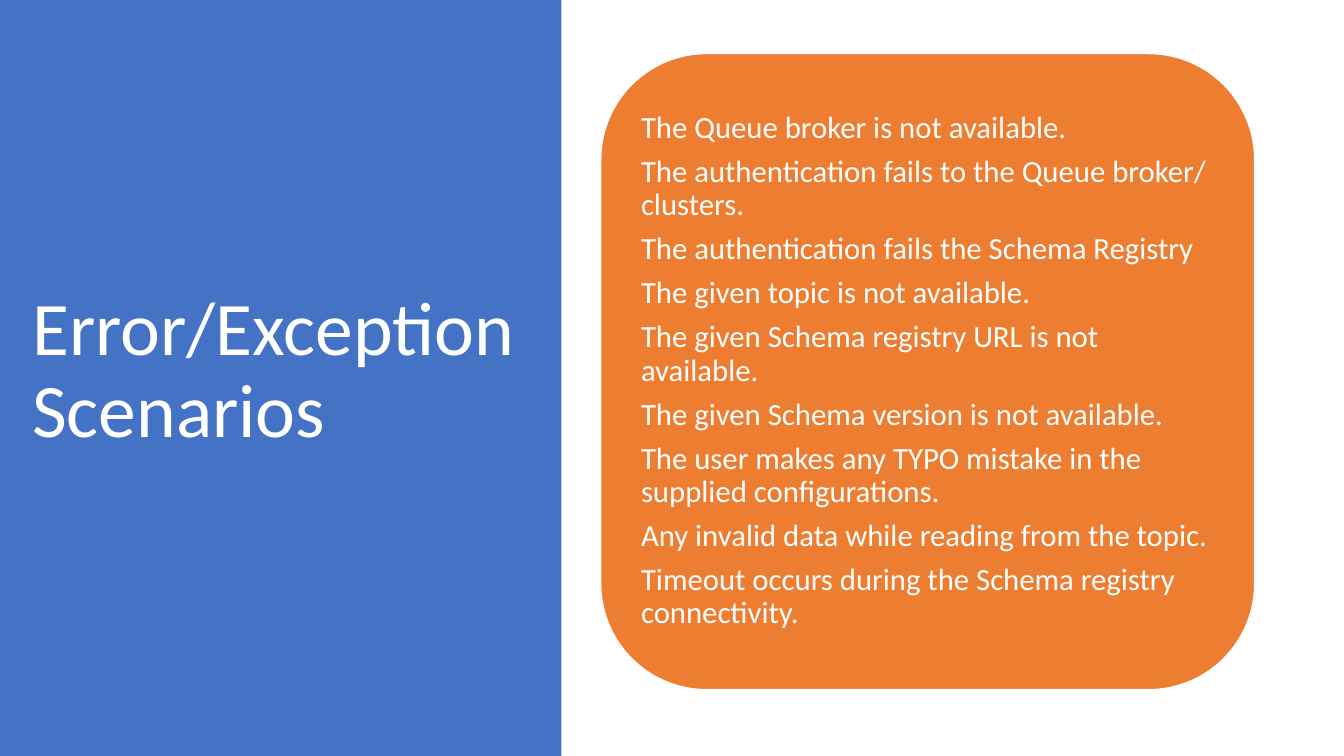
"""Build the slide on error and exception scenarios."""
from dataclasses import dataclass

from lxml import etree
from pptx import Presentation
from pptx.dml.color import RGBColor
from pptx.enum.shapes import MSO_SHAPE
from pptx.enum.text import MSO_ANCHOR, MSO_AUTO_SIZE, PP_ALIGN
from pptx.oxml.ns import qn
from pptx.util import Cm, Pt

RECTANGLE = MSO_SHAPE.RECTANGLE
ROUNDED = MSO_SHAPE.ROUNDED_RECTANGLE
MIDDLE = MSO_ANCHOR.MIDDLE
LEFT = PP_ALIGN.LEFT
NO_AUTOFIT = MSO_AUTO_SIZE.NONE


@dataclass(frozen=True)
class Theme:
    """Colours, typeface and type sizes of the slide."""

    panel: RGBColor = RGBColor(0x44, 0x72, 0xC4)
    card: RGBColor = RGBColor(0xED, 0x7D, 0x31)
    light: RGBColor = RGBColor(0xFF, 0xFF, 0xFF)
    font: str = "Calibri"
    title_size: Pt = Pt(54)
    list_size: Pt = Pt(22)
    list_gap: Pt = Pt(7.7)


THEME = Theme()
TITLE = "Error/Exception Scenarios"
SCENARIOS = [
    "The Queue broker is not available.",
    "The authentication fails to the Queue broker/ clusters.",
    "The authentication fails the Schema Registry",
    "The given topic is not available.",
    "The given Schema registry URL is not available.",
    "The given Schema version is not available.",
    "The user makes any TYPO mistake in the supplied configurations.",
    "Any invalid data while reading from the topic.",
    "Timeout occurs during the Schema registry connectivity.",
]


def add_backdrop(slide, kind, bounds, colour, outline=None):
    """Add a filled shape with an optional outline."""
    box = slide.shapes.add_shape(kind, *map(Cm, bounds))
    box.shadow.inherit = False
    box.fill.solid()
    box.fill.fore_color.rgb = colour
    if outline is None:
        box.line.fill.background()
    else:
        box.line.color.rgb = outline
        box.line.width = Pt(1)
    return box


def send_to_back(slide, boxes):
    """Place the boxes, in their order, behind everything else."""
    tree = slide.shapes.element
    for position, box in enumerate(boxes, start=2):
        tree.insert(position, box.element)


def remove_bullet(para):
    """Clear the bullet and the hanging indent of a paragraph."""
    properties = para._p.get_or_add_pPr()
    properties.set("marL", "0")
    properties.set("indent", "0")
    etree.SubElement(properties, qn("a:buNone"))


def fill_placeholder(box, bounds, lines, size, gap=Pt(0)):
    """Move a placeholder and write its lines as light, left-aligned text."""
    box.left, box.top, box.width, box.height = map(Cm, bounds)
    frame = box.text_frame
    frame.text = "\n".join(lines)
    frame.word_wrap = True
    frame.auto_size = NO_AUTOFIT
    frame.vertical_anchor = MIDDLE
    for para in frame.paragraphs:
        para.alignment = LEFT
        para.line_spacing = 0.9
        para.space_before = Pt(0)
        para.space_after = gap
        remove_bullet(para)
        for span in para.runs:
            span.font.name = THEME.font
            span.font.size = size
            span.font.color.rgb = THEME.light


def main():
    """Build the deck and save it."""
    deck = Presentation()
    deck.slide_width, deck.slide_height = Cm(33.87), Cm(19.05)
    slide = deck.slides.add_slide(deck.slide_layouts[1])
    panel = add_backdrop(slide, RECTANGLE, (0, 0, 14.15, 19.05), THEME.panel)
    card = add_backdrop(
        slide, ROUNDED, (15.14, 1.35, 16.48, 16.03), THEME.card, THEME.light
    )
    send_to_back(slide, [panel, card])
    title, body = slide.placeholders
    fill_placeholder(title, (0.56, 1.73, 13.3, 15.3), [TITLE], THEME.title_size)
    fill_placeholder(
        body, (15.9, 2.13, 14.94, 14.45), SCENARIOS, THEME.list_size, THEME.list_gap
    )
    deck.save("out.pptx")


if __name__ == "__main__":
    main()
